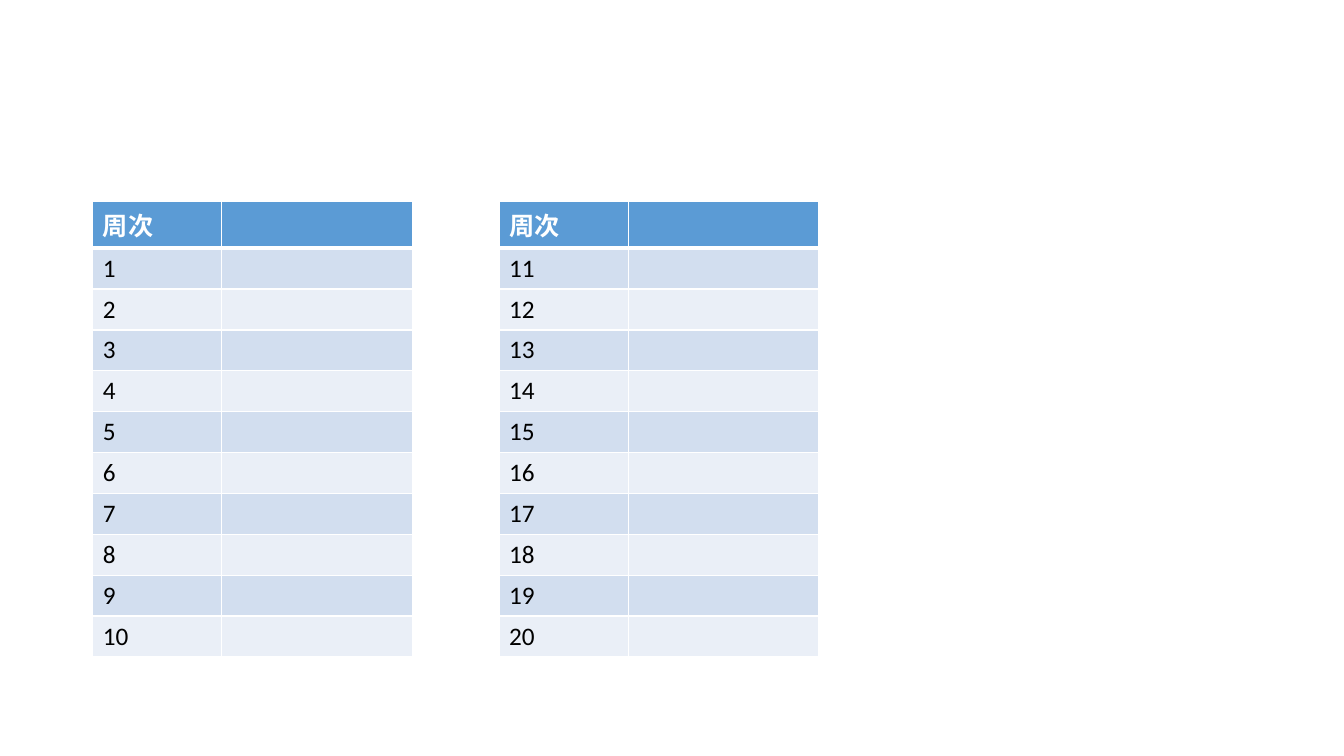
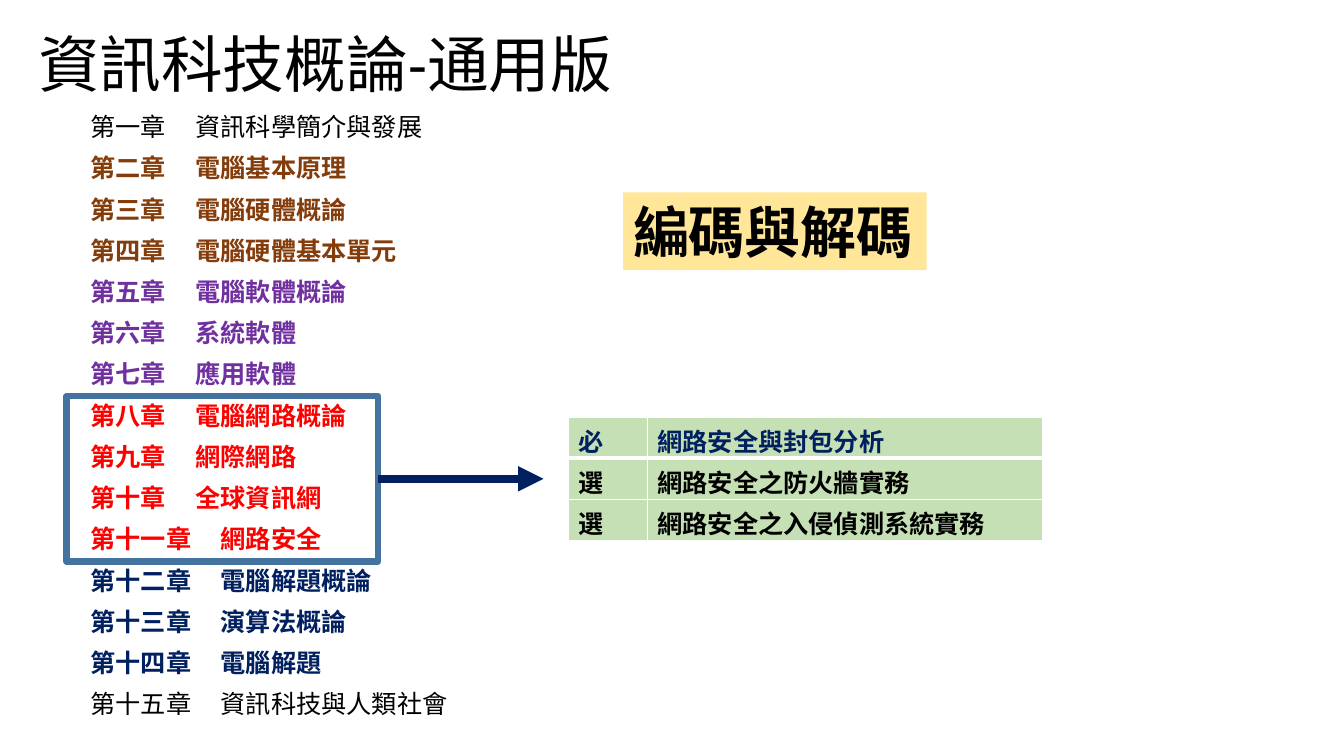
import pptx
import pptx.dml.color
import pptx.enum.shapes
import pptx.enum.text
import pptx.oxml
import pptx.oxml.ns
import pptx.util
import lxml.etree

Inches = pptx.util.Inches
Pt = pptx.util.Pt
qn = pptx.oxml.ns.qn


class Theme:
    font = "Calibri"
    black, white = "000000", "FFFFFF"
    brown, purple, red, navy = "843C0B", "7030A0", "FF0000", "002060"
    head, bands = "5B9BD5", ("D2DEEF", "EAEFF7")
    green, cream, frame = "C5E0B4", "FFE699", "43739E"
    title, big, body = 44, 40, 18
    thin, thick = 1, 3


def rgb(code):
    return pptx.dml.color.RGBColor.from_string(code)


def add(parent, tag, **attrs):
    node = lxml.etree.SubElement(parent, qn(tag))
    for key, value in attrs.items():
        node.set(key, str(value))
    return node


class Deck:
    def __init__(self):
        self.file = pptx.Presentation()
        self.file.slide_width = Inches(13.33)
        self.file.slide_height = Inches(7.5)
        self.slide = None

    def page(self):
        self.slide = self.file.slides.add_slide(self.file.slide_layouts[6])

    def style(self, para, size, color=Theme.black, bold=False):
        for run in para.runs:
            run.font.name = Theme.font
            run.font.size = Pt(size)
            run.font.bold = bold
            run.font.color.rgb = rgb(color)

    def box(self, x, y, w, h, wrap=True):
        shape = self.slide.shapes.add_textbox(
            Inches(x), Inches(y), Inches(w), Inches(h))
        shape.text_frame.word_wrap = wrap
        return shape

    def title(self, text, x, y, w, h):
        frame = self.box(x, y, w, h).text_frame
        frame.vertical_anchor = pptx.enum.text.MSO_ANCHOR.MIDDLE
        frame.text = text
        frame.paragraphs[0].line_spacing = 0.9
        self.style(frame.paragraphs[0], Theme.title)

    def list(self, rows, x, y, w, h):
        """Rows hold a label, a name and a colour; black rows are plain."""
        frame = self.box(x, y, w, h).text_frame
        frame.text = "\n".join(f"{label}\t{name}" for label, name, _ in rows)
        for para, (label, _, color) in zip(frame.paragraphs, rows):
            para.line_spacing = 0.9
            para.space_before = Pt(10)
            self.style(para, Theme.body, color, color != Theme.black)
            # The tab stop follows the length of the label
            tabs = add(para._p.get_or_add_pPr(), "a:tabLst")
            stop = Inches(0.29 + 0.25 * len(label))
            add(tabs, "a:tab", pos=int(stop), algn="l")

    def label(self, text, x, y, w, h):
        shape = self.box(x, y, w, h, wrap=False)
        shape.fill.solid()
        shape.fill.fore_color.rgb = rgb(Theme.cream)
        frame = shape.text_frame
        frame.auto_size = pptx.enum.text.MSO_AUTO_SIZE.SHAPE_TO_FIT_TEXT
        frame.text = text
        self.style(frame.paragraphs[0], Theme.big, bold=True)

    def frame(self, x, y, w, h):
        shape = self.slide.shapes.add_shape(
            pptx.enum.shapes.MSO_SHAPE.RECTANGLE,
            Inches(x), Inches(y), Inches(w), Inches(h))
        shape.shadow.inherit = False
        shape.fill.background()
        shape.line.color.rgb = rgb(Theme.frame)
        shape.line.width = Pt(4.5)
        return shape

    def arrow(self, start, x, y):
        """Draw an arrow from the right side of a shape."""
        line = self.slide.shapes.add_connector(
            pptx.enum.shapes.MSO_CONNECTOR.STRAIGHT,
            start.left + start.width, Inches(y), Inches(x), Inches(y))
        line.begin_connect(start, 3)
        line.line.color.rgb = rgb(Theme.navy)
        line.line.width = Pt(6)
        add(line.line._get_or_add_ln(), "a:tailEnd", type="triangle")
        add(line._element.spPr, "a:effectLst")

    def edges(self, cell, row):
        props = cell._tc.get_or_add_tcPr()
        for side in "LRTB":
            heavy = (row, side) in ((0, "B"), (1, "T"))
            width = Pt(Theme.thick if heavy else Theme.thin)
            edge = add(props, f"a:ln{side}", w=int(width))
            add(add(edge, "a:solidFill"), "a:srgbClr", val=Theme.white)

    def table(self, rows, x, y, cols, h, look):
        """look(row) gives the fill, text colour and weight of a row."""
        table = self.slide.shapes.add_table(
            len(rows), len(cols), Inches(x), Inches(y),
            Inches(sum(cols)), Inches(h)).table
        table.first_row = table.horz_banding = False
        for col, width in zip(table.columns, cols):
            col.width = Inches(width)
        for r, texts in enumerate(rows):
            fill, color, bold = look(r)
            for c, text in enumerate(texts):
                cell = table.cell(r, c)
                self.edges(cell, r)
                cell.fill.solid()
                cell.fill.fore_color.rgb = rgb(fill)
                cell.text = text
                self.style(cell.text_frame.paragraphs[0],
                           Theme.body, color, bold)


def week(row):
    if row == 0:
        return Theme.head, Theme.white, True
    return Theme.bands[(row - 1) % 2], Theme.black, False


def course(row):
    return Theme.green, Theme.black if row else Theme.navy, True


def main():
    deck = Deck()

    # Week tables, ten weeks each
    deck.page()
    for x, first in ((0.92, 1), (4.95, 11)):
        rows = [("周次", "")]
        rows += [(str(n), "") for n in range(first, first + 10)]
        deck.table(rows, x, 2, (1.28, 1.89), 4.46, week)

    # Chapters
    deck.page()
    deck.title("資訊科技概論-通用版", 0.28, 0.24, 6.22, 0.85)
    parts = (
        (Theme.black, ("資訊科學簡介與發展",)),
        (Theme.brown, ("電腦基本原理", "電腦硬體概論", "電腦硬體基本單元")),
        (Theme.purple, ("電腦軟體概論", "系統軟體", "應用軟體")),
        (Theme.red, ("電腦網路概論", "網際網路", "全球資訊網", "網路安全")),
        (Theme.navy, ("電腦解題概論", "演算法概論", "電腦解題")),
        (Theme.black, ("資訊科技與人類社會",)),
    )
    names = [(name, color) for color, group in parts for name in group]
    digits = "一二三四五六七八九十"
    nums = list(digits) + ["十" + d for d in digits[:5]]
    deck.list([(f"第{num}章", name, color)
               for num, (name, color) in zip(nums, names)],
              0.8, 1.09, 4.31, 6.04)

    # Network chapters lead to the courses
    frame = deck.frame(0.66, 3.93, 3.09, 1.64)
    deck.arrow(frame, 5.39, 4.75)
    deck.table((("必", "網路安全與封包分析"),
                ("選", "網路安全之防火牆實務"),
                ("選", "網路安全之入侵偵測系統實務")),
               5.64, 4.14, (0.78, 3.92), 1.22, course)
    deck.label("編碼與解碼", 6.18, 1.91, 3.01, 0.77)

    deck.file.save("out.pptx")


if __name__ == "__main__":
    main()
